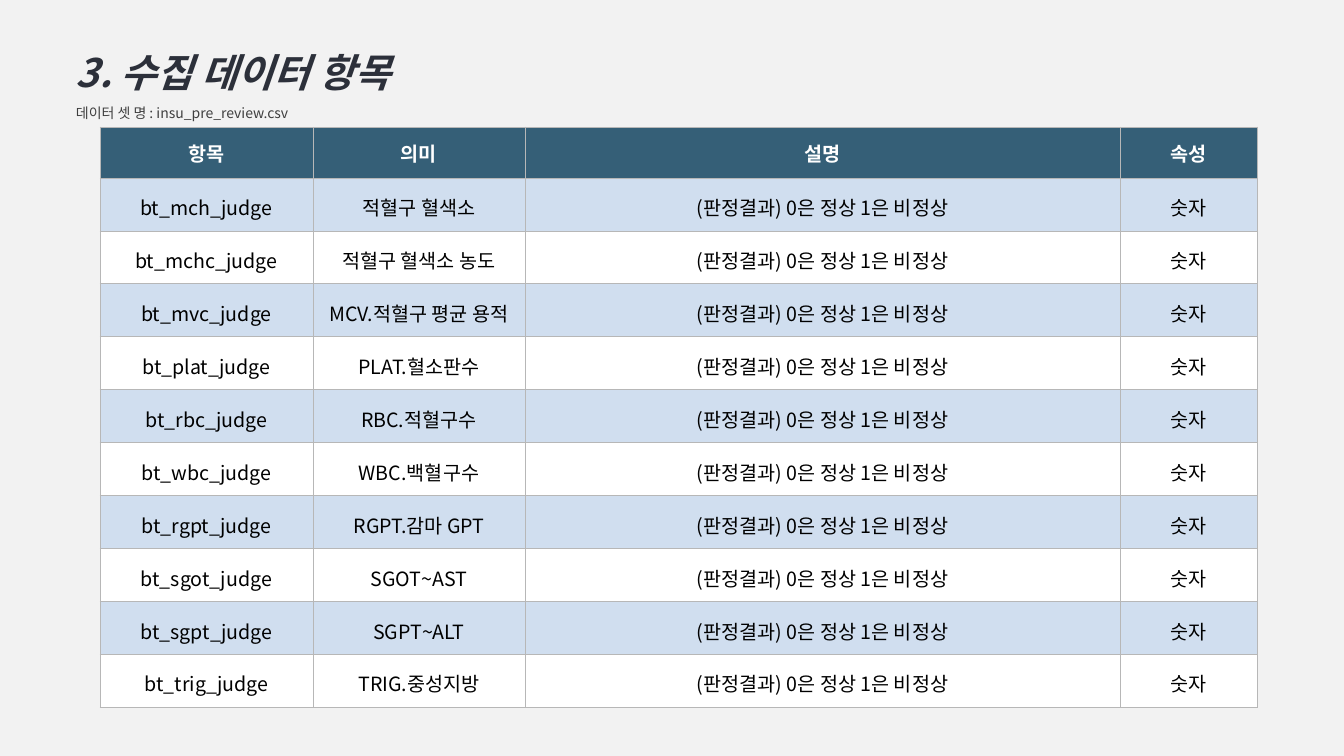
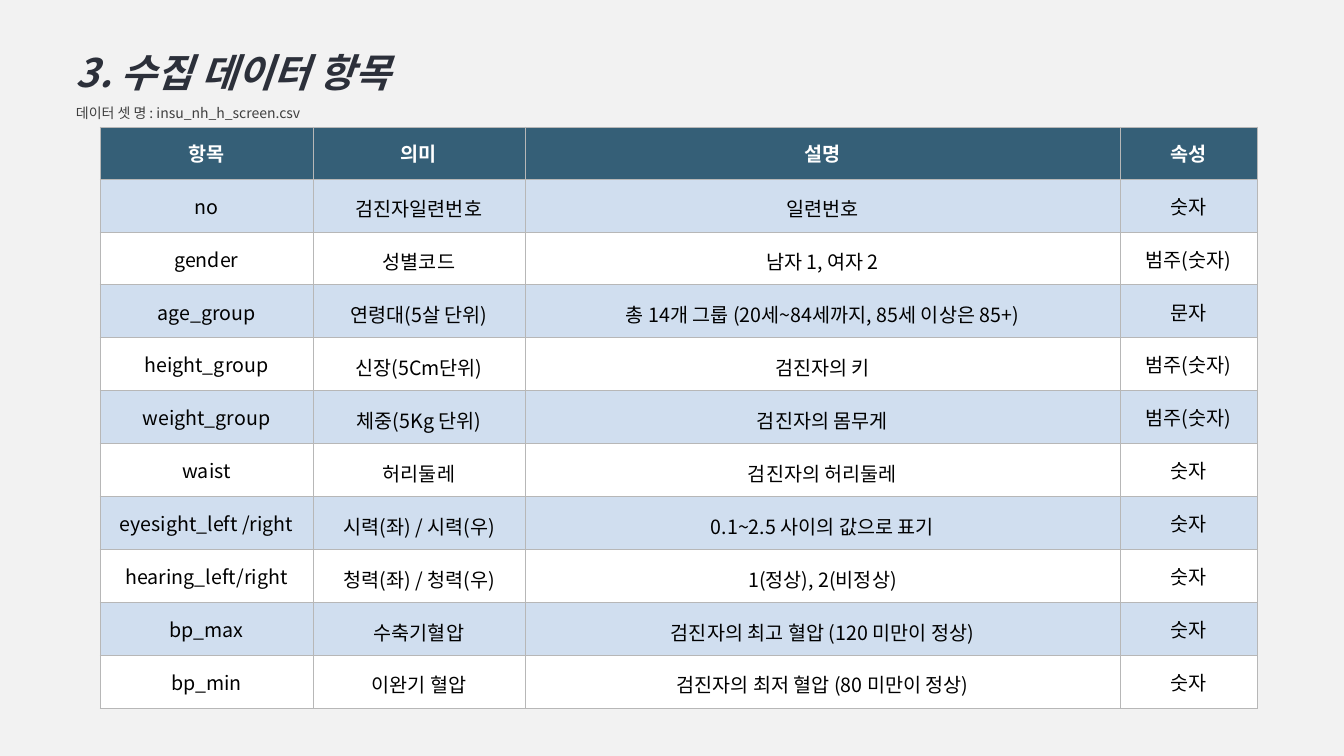
from dataclasses import dataclass

from lxml import etree
from pptx import Presentation
from pptx.dml.color import RGBColor
from pptx.enum.text import MSO_ANCHOR, MSO_AUTO_SIZE, PP_ALIGN
from pptx.oxml.ns import qn
from pptx.util import Emu, Pt

CENTER, LEFT = PP_ALIGN.CENTER, PP_ALIGN.LEFT
TOP, MIDDLE = MSO_ANCHOR.TOP, MSO_ANCHOR.MIDDLE
NO_FIT = MSO_AUTO_SIZE.NONE

EMU_PER_PX = 914400 / 100.8
TITLE_ONLY = 5


@dataclass(frozen=True)
class Theme:
    font: str = "Noto Sans CJK KR"
    background: str = "F2F2F2"
    title: str = "2C303A"
    dataset: str = "3F3F3F"
    header: str = "355F77"
    header_text: str = "FFFFFF"
    cell_text: str = "000000"
    bands: tuple = ("D0DEEF", "FFFFFF")
    border: str = "B7B7B7"
    border_width: float = 0.75
    title_size: int = 28
    dataset_size: int = 10
    cell_size: int = 14
    title_spacing: float = 1.5


THEME = Theme()

SLIDE_SIZE = (1344, 756)
HEADING_BOX = (66, 20, 672, 107)
TABLE_ORIGIN = (100, 127)
COLUMN_WIDTHS = (213, 212, 595, 137)
ROW_HEIGHT = 53

HEADING = "3. 수집 데이터 항목"
COLUMN_NAMES = ("항목", "의미", "설명", "속성")

JUDGEMENTS = (
    ("mch", "적혈구 혈색소"),
    ("mchc", "적혈구 혈색소 농도"),
    ("mvc", "MCV.적혈구 평균 용적"),
    ("plat", "PLAT.혈소판수"),
    ("rbc", "RBC.적혈구수"),
    ("wbc", "WBC.백혈구수"),
    ("rgpt", "RGPT.감마 GPT"),
    ("sgot", "SGOT~AST"),
    ("sgpt", "SGPT~ALT"),
    ("trig", "TRIG.중성지방"),
)
REVIEW_ROWS = [
    (f"bt_{code}_judge", meaning, "(판정결과) 0은 정상 1은 비정상", "숫자")
    for code, meaning in JUDGEMENTS
]
SCREEN_ROWS = [
    ("no", "검진자일련번호", "일련번호", "숫자"),
    ("gender", "성별코드", "남자 1, 여자 2", "범주(숫자)"),
    ("age_group", "연령대(5살 단위)",
     "총 14개 그룹 (20세~84세까지, 85세 이상은 85+)", "문자"),
    ("height_group", "신장(5Cm단위)", "검진자의 키", "범주(숫자)"),
    ("weight_group", "체중(5Kg 단위)", "검진자의 몸무게", "범주(숫자)"),
    ("waist", "허리둘레", "검진자의 허리둘레", "숫자"),
    ("eyesight_left /right", "시력(좌) / 시력(우)",
     "0.1~2.5 사이의 값으로 표기", "숫자"),
    ("hearing_left/right", "청력(좌) / 청력(우)", "1(정상), 2(비정상)", "숫자"),
    ("bp_max", "수축기혈압", "검진자의 최고 혈압 (120 미만이 정상)", "숫자"),
    ("bp_min", "이완기 혈압", "검진자의 최저 혈압 (80 미만이 정상)", "숫자"),
]

# Dataset file, rows, header height, line spacing of each column
DATASETS = (
    ("insu_pre_review.csv", REVIEW_ROWS, 51, (1.15, 1.15, 1.15, 1.15)),
    ("insu_nh_h_screen.csv", SCREEN_ROWS, 52, (1.0, 1.15, 1.15, 1.0)),
)


def px(length):
    return Emu(round(length * EMU_PER_PX))


def set_insets(holder, horizontal, vertical):
    holder.margin_left = holder.margin_right = px(horizontal)
    holder.margin_top = holder.margin_bottom = px(vertical)


def style_paragraph(paragraph, size, color, align, spacing, bold=False, italic=False):
    paragraph.alignment = align
    paragraph.line_spacing = spacing
    font = paragraph.font
    font.size, font.bold, font.italic = Pt(size), bold, italic
    font.color.rgb = RGBColor.from_string(color)
    font.name = THEME.font
    # Hangul takes its face from the East Asian slot; runs need the face too.
    for run in paragraph.runs:
        run.font.name = THEME.font
        east_asian = etree.SubElement(run.font._element, qn("a:ea"))
        east_asian.set("typeface", THEME.font)


def add_borders(cell):
    properties = cell._tc.get_or_add_tcPr()
    for side in ("lnL", "lnR", "lnT", "lnB"):
        line = etree.SubElement(properties, qn(f"a:{side}"), w=str(Pt(THEME.border_width)))
        fill = etree.SubElement(line, qn("a:solidFill"))
        etree.SubElement(fill, qn("a:srgbClr"), val=THEME.border)


def fill_cell(cell, text, background, color, spacing, bold):
    cell.text = text
    cell.vertical_anchor = MIDDLE
    set_insets(cell, 3, 2)
    style_paragraph(cell.text_frame.paragraphs[0], THEME.cell_size, color,
                    CENTER, spacing, bold)
    add_borders(cell)
    cell.fill.solid()
    cell.fill.fore_color.rgb = RGBColor.from_string(background)


def place_heading(slide, box, dataset):
    title = slide.shapes.title
    title.left, title.top, title.width, title.height = map(px, box)
    frame = title.text_frame
    frame.word_wrap = True
    frame.auto_size = NO_FIT
    frame.vertical_anchor = TOP
    set_insets(frame, 10, 5)
    frame.text = f"{HEADING}\n데이터 셋 명 : {dataset}"
    heading, dataset_line = frame.paragraphs
    style_paragraph(heading, THEME.title_size, THEME.title, LEFT,
                    THEME.title_spacing, bold=True, italic=True)
    style_paragraph(dataset_line, THEME.dataset_size, THEME.dataset, LEFT,
                    THEME.title_spacing)


def place_field_table(slide, origin, rows, header_height, spacings):
    left, top = origin
    height = header_height + ROW_HEIGHT * len(rows)
    table = slide.shapes.add_table(
        len(rows) + 1, len(COLUMN_NAMES),
        px(left), px(top), px(sum(COLUMN_WIDTHS)), px(height)).table
    table.first_row = table.horz_banding = False
    for column, width in zip(table.columns, COLUMN_WIDTHS):
        column.width = px(width)
    for index, texts in enumerate((COLUMN_NAMES, *rows)):
        is_header = index == 0
        table.rows[index].height = px(header_height if is_header else ROW_HEIGHT)
        background = THEME.header if is_header else THEME.bands[(index - 1) % 2]
        color = THEME.header_text if is_header else THEME.cell_text
        for column, (text, spacing) in enumerate(zip(texts, spacings)):
            fill_cell(table.cell(index, column), text, background, color,
                      1.0 if is_header else spacing, is_header)


def add_dataset_slide(presentation, dataset, rows, header_height, spacings):
    slide = presentation.slides.add_slide(presentation.slide_layouts[TITLE_ONLY])
    place_heading(slide, HEADING_BOX, dataset)
    place_field_table(slide, TABLE_ORIGIN, rows, header_height, spacings)


def main():
    presentation = Presentation()
    presentation.slide_width, presentation.slide_height = map(px, SLIDE_SIZE)
    backdrop = presentation.slide_master.background.fill
    backdrop.solid()
    backdrop.fore_color.rgb = RGBColor.from_string(THEME.background)
    for dataset in DATASETS:
        add_dataset_slide(presentation, *dataset)
    presentation.save("out.pptx")


if __name__ == "__main__":
    main()
